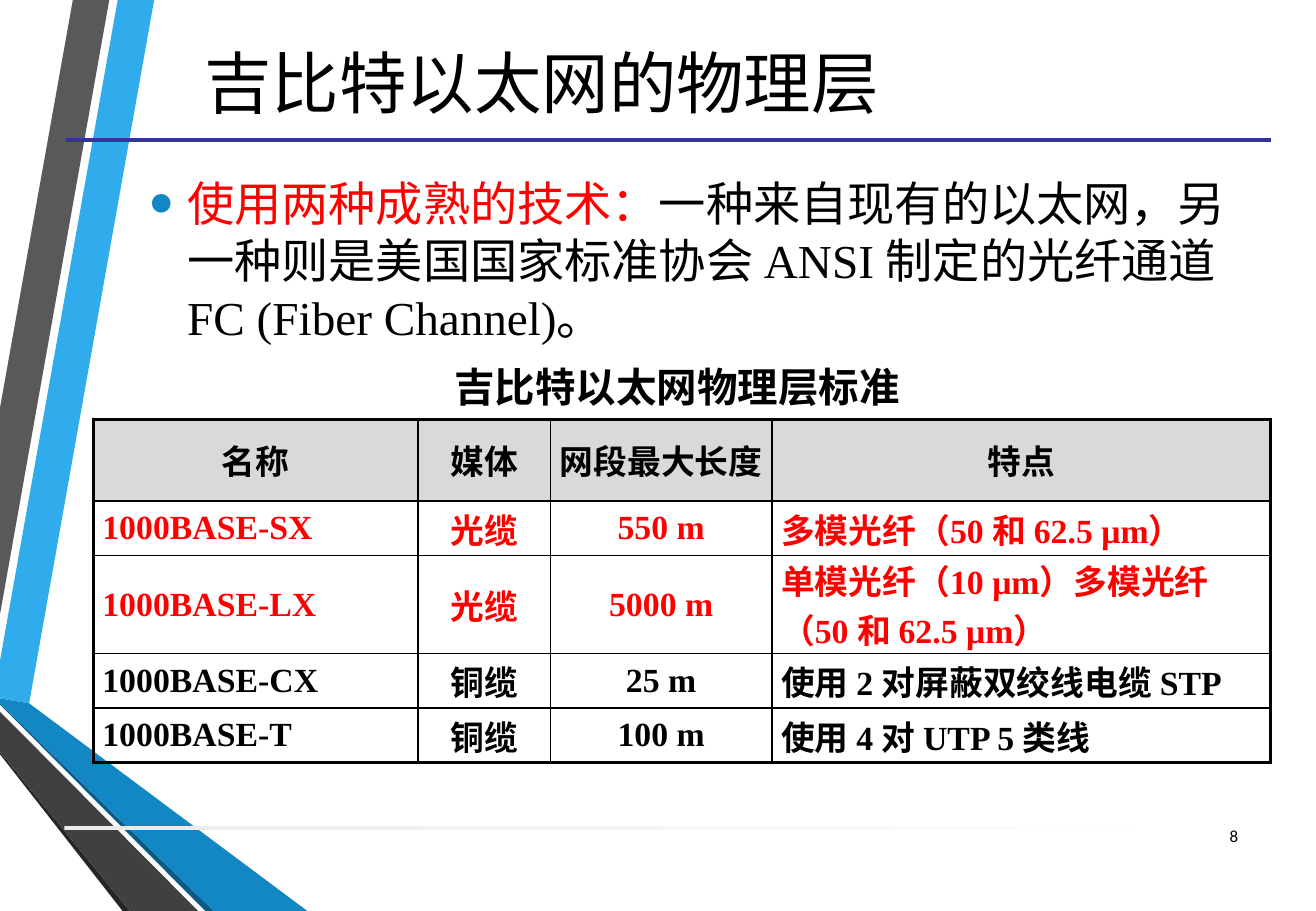
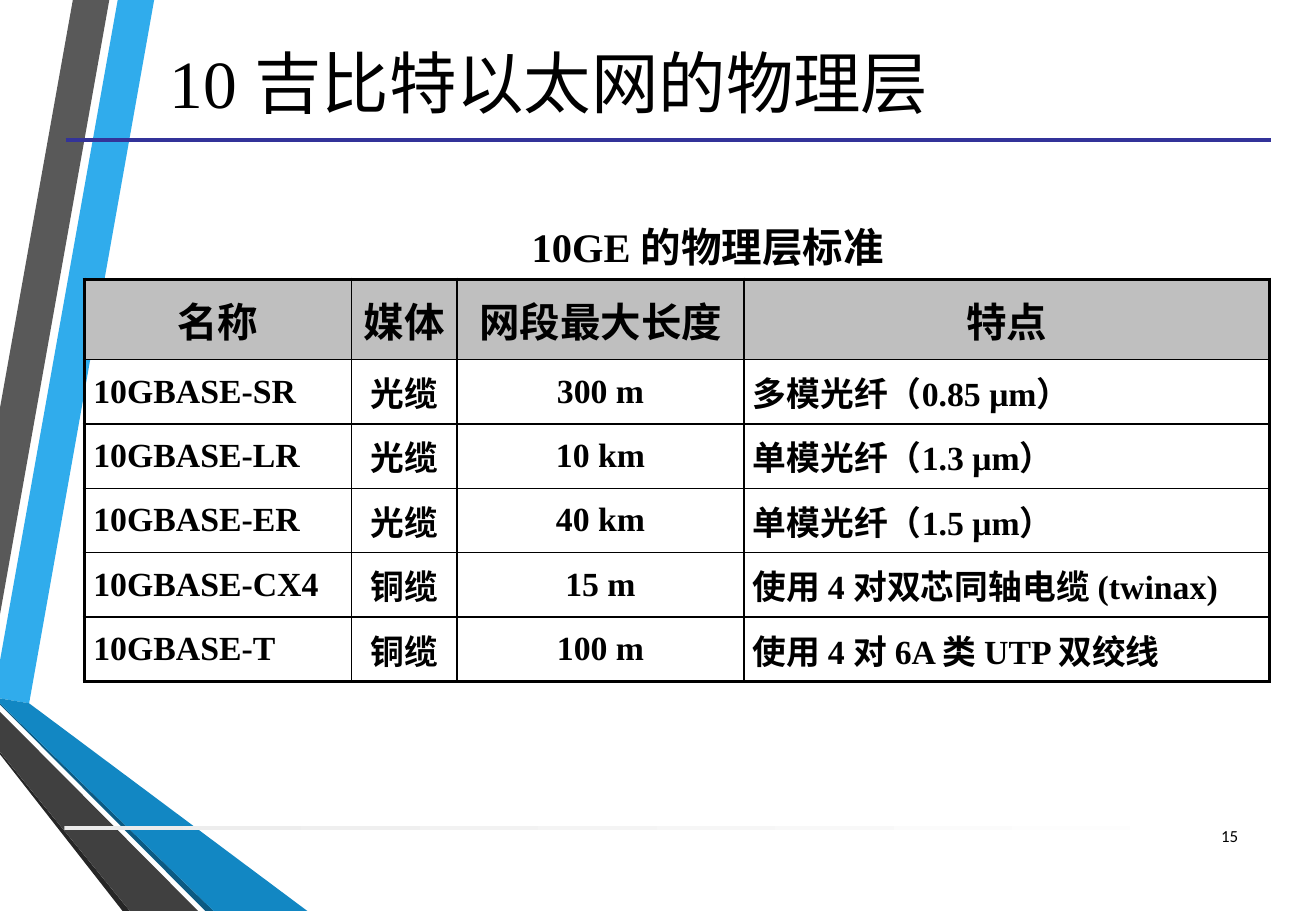
"""Build two slides on the physical layers of gigabit Ethernet."""
from dataclasses import dataclass

from lxml import etree
from pptx import Presentation
from pptx.dml import color as dml
from pptx.enum import shapes, text
from pptx.oxml import ns
from pptx.util import Pt

HEX = {
    "black": "000000", "red": "FF0000", "rule": "333399",
    "sky": "30ACEC", "gray": "595959", "soot": "262626",
    "deep": "0C5A82", "blue": "1287C3", "coal": "404040",
    "mist": "EBEBEB", "white": "FFFFFF", "light": "D9D9D9", "mid": "BFBFBF",
}
SANS, SERIF = "Calibri", "Times New Roman"
WIDE, TALL = 780, 540
THIN, THICK = 1, 2.25
LEFT, MID, RIGHT, JUST = (text.PP_ALIGN.LEFT, text.PP_ALIGN.CENTER,
                          text.PP_ALIGN.RIGHT, text.PP_ALIGN.JUSTIFY)


@dataclass
class Run:
    text: str
    font: str = SERIF
    hue: str = "black"


@dataclass
class Box:
    x: float
    y: float
    w: float
    h: float

    def lens(self) -> tuple:
        return Pt(self.x), Pt(self.y), Pt(self.w), Pt(self.h)


@dataclass
class Band:
    hue: str
    dots: list


@dataclass
class Grid:
    x: float
    y: float
    cols: list
    rows: list
    head: str
    size: float
    last: int
    reds: tuple
    data: list


@dataclass
class Page:
    title: list
    cap: Run
    spot: Box
    grid: Grid
    num: str


BANDS = [
    Band("sky", [(0, 391.7), (0, 414), (17.3, 416.9), (91.4, 0), (69.8, 0)]),
    Band("gray", [(64.8, 0), (43.2, 0), (0, 241.9), (0, 364.3)]),
    Band("soot", [(0, 445.7), (0, 447.1), (72.7, TALL), (77, TALL)]),
    Band("deep", [(0, 416.9), (0, 417.6), (121.7, TALL), (126.7, TALL)]),
    Band("blue", [(0, 416.9), (126.7, TALL), (182.2, TALL),
                  (17.3, 416.9), (0, 414)]),
    Band("coal", [(0, 445.7), (77, TALL), (117.4, TALL), (0, 421.9)]),
]
HEADS = ["名称", "媒体", "网段最大长度", "特点"]
BODY = [
    Run("使用两种成熟的技术：", SANS, "red"),
    Run("一种来自现有的以太网，另一种则是美", SANS),
    Run("国国家标准协会 ANSI 制定的光纤通道 FC (Fiber Channel)。"),
]
PAGES = [
    Page(
        [Run("吉比特以太网的物理层 ", SANS)],
        Run("吉比特以太网物理层标准", SANS), Box(203, 211, 396.7, 36),
        Grid(55.4, 248.5, [192.3, 78.5, 131.5, 295.2],
             [48.5, 32.3, 58.2, 32.3, 32.3], "light", 20, LEFT, (1, 2), [
                 ["1000BASE-SX", "光缆", "550 m", "多模光纤（50 和 62.5 μm）"],
                 ["1000BASE-LX", "光缆", "5000 m",
                  "单模光纤（10 μm）多模光纤（50 和 62.5 μm）"],
                 ["1000BASE-CX", "铜缆", "25 m", "使用 2 对屏蔽双绞线电缆 STP"],
                 ["1000BASE-T", "铜缆", "100 m", "使用 4 对 UTP 5 类线"]]),
        "8"),
    Page(
        [Run("10 吉比特以"), Run("太网的物理层", SANS)],
        Run("10GE 的物理层标准"), Box(169.2, 128.2, 500.4, 36),
        Grid(50, 165.6, [158.4, 62.6, 169.9, 311.8],
             [47.5] + [38.2] * 5, "mid", 24, JUST, (), [
                 ["10GBASE-SR", "光缆", "300 m", "多模光纤（0.85 μm）"],
                 ["10GBASE-LR", "光缆", "10 km", "单模光纤（1.3 μm）"],
                 ["10GBASE-ER", "光缆", "40 km", "单模光纤（1.5 μm）"],
                 ["10GBASE-CX4", "铜缆", "15 m", "使用 4 对双芯同轴电缆 (twinax)"],
                 ["10GBASE-T", "铜缆", "100 m", "使用 4 对 6A 类 UTP 双绞线"]]),
        "15"),
]


def rgb(hue: str) -> dml.RGBColor:
    return dml.RGBColor.from_string(HEX[hue])


def node(root, tag: str, **atts):
    return etree.SubElement(root, ns.qn(tag), atts)


def write(para, runs: list, size: float, bold: bool = False,
          side=LEFT) -> None:
    para.alignment = side
    for run in runs:
        part = para.add_run()
        part.text = run.text
        font = part.font
        font.name, font.size, font.bold = run.font, Pt(size), bold
        font.color.rgb = rgb(run.hue)


def label(slide, box: Box, runs: list, size: float, bold: bool, side) -> None:
    frame = slide.shapes.add_textbox(*box.lens()).text_frame
    frame.word_wrap = True
    frame.vertical_anchor = text.MSO_ANCHOR.MIDDLE
    write(frame.paragraphs[0], runs, size, bold, side)


def decor(slide) -> None:
    for band in BANDS:
        dots = [(Pt(x), Pt(y)) for x, y in band.dots]
        pen = slide.shapes.build_freeform(*dots[0])
        pen.add_line_segments(dots[1:], close=True)
        form = pen.convert_to_shape()
        form.shadow.inherit = False
        form.fill.solid()
        form.fill.fore_color.rgb = rgb(band.hue)
        form.line.fill.background()
    bar = slide.shapes.add_shape(shapes.MSO_SHAPE.RECTANGLE,
                                 *Box(38.2, 489.6, 702, 2.4).lens())
    bar.shadow.inherit = False
    bar.line.fill.background()
    bar.fill.gradient()
    bar.fill.gradient_angle = 0
    for stop, hue, spot in zip(bar.fill.gradient_stops,
                               ("mist", "white"), (0, 1)):
        stop.color.rgb = rgb(hue)
        stop.position = spot
    rule = slide.shapes.add_connector(shapes.MSO_CONNECTOR.STRAIGHT,
                                      Pt(38.9), Pt(82.8), Pt(753.1), Pt(82.8))
    rule.line.color.rgb = rgb("rule")
    rule.line.width = Pt(THICK)
    node(rule.element.spPr, "a:effectLst")


def head(slide, runs: list) -> None:
    title = slide.shapes.title
    title.left, title.top, title.width, title.height = Box(
        31, 3.6, 589, 89.3).lens()
    frame = title.text_frame
    frame.auto_size = text.MSO_AUTO_SIZE.NONE
    frame.vertical_anchor = text.MSO_ANCHOR.MIDDLE
    write(frame.paragraphs[0], runs, 40, side=MID)


def body(slide) -> None:
    frame = slide.shapes.add_textbox(
        *Box(81.4, 100, 657.4, 110).lens()).text_frame
    frame.word_wrap = True
    para = frame.paragraphs[0]
    props = para._p.get_or_add_pPr()
    props.set("marL", str(Pt(22.5)))
    props.set("indent", str(-Pt(22.5)))
    node(node(props, "a:buClr"), "a:srgbClr", val=HEX["blue"])
    node(props, "a:buSzPct", val="145000")
    node(props, "a:buFont", typeface="Arial")
    node(props, "a:buChar", char="•")
    para.space_after = Pt(6)
    write(para, BODY, 28)


def edge(cell, tag: str, width: float) -> None:
    line = node(cell._tc.get_or_add_tcPr(), tag, w=str(Pt(width)))
    node(node(line, "a:solidFill"), "a:srgbClr", val=HEX["black"])


def table(slide, grid: Grid) -> None:
    box = Box(grid.x, grid.y, sum(grid.cols), sum(grid.rows))
    rows, cols = len(grid.rows), len(grid.cols)
    tab = slide.shapes.add_table(rows, cols, *box.lens()).table
    tab.first_row = tab.horz_banding = False
    for col, wide in zip(tab.columns, grid.cols):
        col.width = Pt(wide)
    for row, high in zip(tab.rows, grid.rows):
        row.height = Pt(high)
    sides = [JUST, MID, MID, grid.last]
    for r, words in enumerate([HEADS] + grid.data):
        for c, word in enumerate(words):
            cell = tab.cell(r, c)
            cell.margin_left = cell.margin_right = Pt(5.3)
            cell.margin_top = cell.margin_bottom = Pt(0)
            cell.vertical_anchor = text.MSO_ANCHOR.MIDDLE
            for tag, rim in (("a:lnL", c == 0), ("a:lnR", c == cols - 1),
                             ("a:lnT", r == 0), ("a:lnB", r == rows - 1)):
                edge(cell, tag, THICK if rim else THIN)
            if r == 0:
                cell.fill.solid()
                cell.fill.fore_color.rgb = rgb(grid.head)
            else:
                cell.fill.background()
            hue = "red" if r in grid.reds else "black"
            write(cell.text_frame.paragraphs[0], [Run(word, SERIF, hue)],
                  20 if r else grid.size, True, sides[c] if r else MID)


def main() -> None:
    deck = Presentation()
    deck.slide_width, deck.slide_height = Pt(WIDE), Pt(TALL)
    for page in PAGES:
        slide = deck.slides.add_slide(deck.slide_layouts[5])
        decor(slide)
        head(slide, page.title)
        if page is PAGES[0]:
            body(slide)
        table(slide, page.grid)
        label(slide, page.spot, [page.cap], 24, True, MID)
        label(slide, Box(704.2, 481, 36.7, 28.8),
              [Run(page.num, SANS)], 10, False, RIGHT)
    deck.save("out.pptx")


if __name__ == "__main__":
    main()
